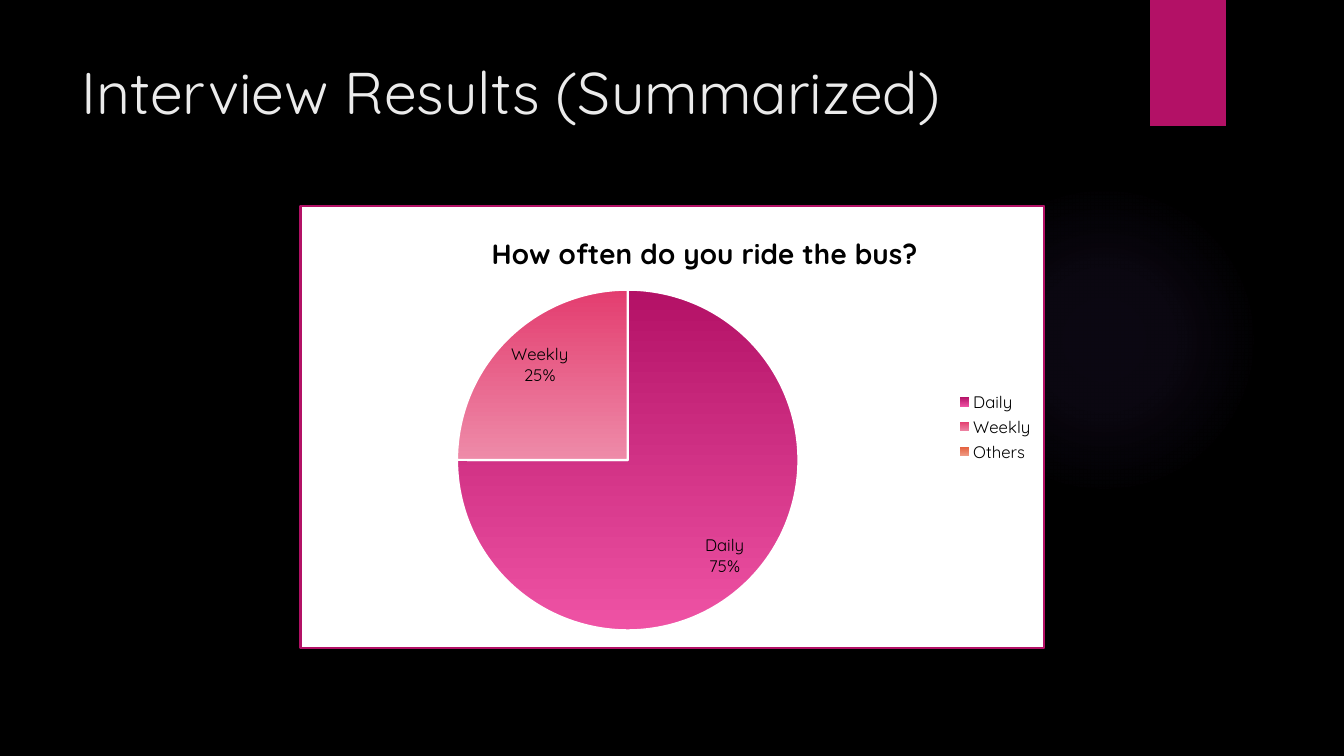
from dataclasses import dataclass

from lxml.etree import SubElement
from pptx import Presentation
from pptx.chart.data import CategoryChartData
from pptx.dml.color import RGBColor
from pptx.enum.chart import XL_CHART_TYPE as ChartType
from pptx.enum.chart import XL_LABEL_POSITION as LabelPos
from pptx.enum.chart import XL_LEGEND_POSITION as LegendPos
from pptx.enum.shapes import MSO_SHAPE as Shape
from pptx.enum.text import MSO_ANCHOR as Anchor
from pptx.enum.text import MSO_AUTO_SIZE as AutoSize
from pptx.enum.text import PP_ALIGN as Align
from pptx.oxml import parse_xml
from pptx.oxml.ns import nsdecls, qn
from pptx.util import Inches, Pt


@dataclass(frozen=True)
class Theme:
    font: str = "Quicksand"
    back: str = "000000"
    title: str = "EBEBEB"
    ink: str = "000000"
    paper: str = "FFFFFF"
    accent: str = "B31166"
    halo: str = "9B6BF2"
    slices: tuple = (("B31166", "EF53A5"), ("E33D6F", "EE8BA9"), ("E45F3C", "EF9F8A"))
    title_size: int = 42
    heading_size: int = 20
    label_size: int = 12


class Deck:
    def __init__(self, theme):
        self.theme = theme
        self.prs = Presentation()
        self.prs.slide_width, self.prs.slide_height = Inches(13.33), Inches(7.5)
        self.slide = self.prs.slides.add_slide(self.prs.slide_layouts[5])
        self.paint(self.slide.background.fill, theme.back)

    def box(self, x, y, w, h):
        col, row = self.prs.slide_width / 100, self.prs.slide_height / 100
        return int(x * col), int(y * row), int(w * col), int(h * row)

    def paint(self, fill, color):
        fill.solid()
        fill.fore_color.rgb = RGBColor.from_string(color)

    def style(self, font, size, color, bold=False):
        font.name, font.size, font.bold = self.theme.font, Pt(size), bold
        font.color.rgb = RGBColor.from_string(color)

    def shape(self, kind, area, color):
        sp = self.slide.shapes.add_shape(kind, *self.box(*area))
        sp.shadow.inherit = False
        sp.line.fill.background()
        self.paint(sp.fill, color)
        return sp

    def halo(self, area, stops):
        sp = self.shape(Shape.OVAL, area, self.theme.halo)
        marks = "".join(
            f'<a:gs pos="{pos * 1000}"><a:srgbClr val="{self.theme.halo}">'
            f'<a:alpha val="{alpha * 1000}"/></a:srgbClr></a:gs>'
            for pos, alpha in stops
        )
        glow = parse_xml(
            f'<a:gradFill {nsdecls("a")}><a:gsLst>{marks}</a:gsLst><a:path path="circle">'
            '<a:fillToRect l="50000" t="50000" r="50000" b="50000"/></a:path></a:gradFill>'
        )
        solid = sp.element.spPr.find(qn("a:solidFill"))
        solid.getparent().replace(solid, glow)

    def title(self, area, text):
        sp = self.slide.shapes.title
        sp.left, sp.top, sp.width, sp.height = self.box(*area)
        tf = sp.text_frame
        tf.text = text
        tf.word_wrap, tf.auto_size = True, AutoSize.NONE
        tf.vertical_anchor = Anchor.TOP
        p = tf.paragraphs[0]
        p.alignment = Align.LEFT
        self.style(p.runs[0].font, self.theme.title_size, self.theme.title)

    def layout(self, index, parent, target=None, **shares):
        for old in parent.findall(qn("c:layout")):
            parent.remove(old)
        layout = parent.makeelement(qn("c:layout"))
        parent.insert(index, layout)
        manual = SubElement(layout, qn("c:manualLayout"))
        if target:
            SubElement(manual, qn("c:layoutTarget")).set("val", target)
        for axis in "xy":
            SubElement(manual, qn(f"c:{axis}Mode")).set("val", "edge")
        for name, share in shares.items():
            SubElement(manual, qn(f"c:{name}")).set("val", str(share))

    def pie(self, area, heading, values):
        theme = self.theme
        data = CategoryChartData()
        data.categories = list(values)
        data.add_series("Series 1", list(values.values()))
        chart = self.slide.shapes.add_chart(ChartType.PIE, *self.box(*area), data).chart
        self.style(chart.font, theme.label_size, theme.ink)

        chart.has_title = True
        tf = chart.chart_title.text_frame
        tf.text = heading
        self.style(tf.paragraphs[0].runs[0].font, theme.heading_size, theme.ink, True)

        chart.has_legend = True
        chart.legend.position = LegendPos.RIGHT
        chart.legend.include_in_layout = False
        self.style(chart.legend.font, theme.label_size, theme.ink)

        plot = chart.plots[0]
        plot.vary_by_categories = True
        series = plot.series[0]
        for i, colors in enumerate(theme.slices):
            fmt = series.points[i].format
            fmt.fill.gradient()
            fmt.fill.gradient_angle = 270
            for stop, color in zip(fmt.fill.gradient_stops, colors):
                stop.color.rgb = RGBColor.from_string(color)
            self.paint(fmt.line.fill, theme.paper)
            fmt.line.width = Pt(1.5)

        labels = series.data_labels
        labels.show_value = False
        labels.show_percentage = labels.show_category_name = True
        labels.position = LabelPos.INSIDE_END
        labels.number_format, labels.number_format_is_linked = "0%", False
        self.style(labels.font, theme.label_size, theme.ink)
        d_lbls = series.data_labels._element
        empty = [i for i, value in enumerate(values.values()) if not value]
        for at, i in enumerate(empty):
            d_lbls.insert(at, parse_xml(
                f'<c:dLbl {nsdecls("c")}><c:idx val="{i}"/><c:delete val="1"/></c:dLbl>'
            ))

        root = chart.element.find(qn("c:chart"))
        self.layout(1, root.find(qn("c:title")), x=0.25, y=0.05)
        self.layout(0, root.find(qn("c:plotArea")), "inner", x=0.21, y=0.19, w=0.46, h=0.77)
        root.addnext(parse_xml(
            f'<c:spPr {nsdecls("c", "a")}>'
            f'<a:solidFill><a:srgbClr val="{theme.paper}"/></a:solidFill>'
            f'<a:ln w="{Pt(1.5)}"><a:solidFill><a:srgbClr val="{theme.accent}"/></a:solidFill></a:ln>'
            '</c:spPr>'
        ))


def main():
    deck = Deck(Theme())
    deck.halo((70.58, 24.4, 23.1, 41.07), ((0, 7), (36, 6), (69, 0)))
    deck.shape(Shape.RECTANGLE, (85.58, 0, 5.63, 16.67), deck.theme.accent)
    deck.title((5.33, 6.67, 77.18, 20.4), "Interview Results (Summarized)")
    deck.pie(
        (22.28, 27.07, 55.5, 58.8),
        "How often do you ride the bus?",
        {"Daily": 75, "Weekly": 25, "Others": 0},
    )
    deck.prs.save("out.pptx")


if __name__ == "__main__":
    main()
